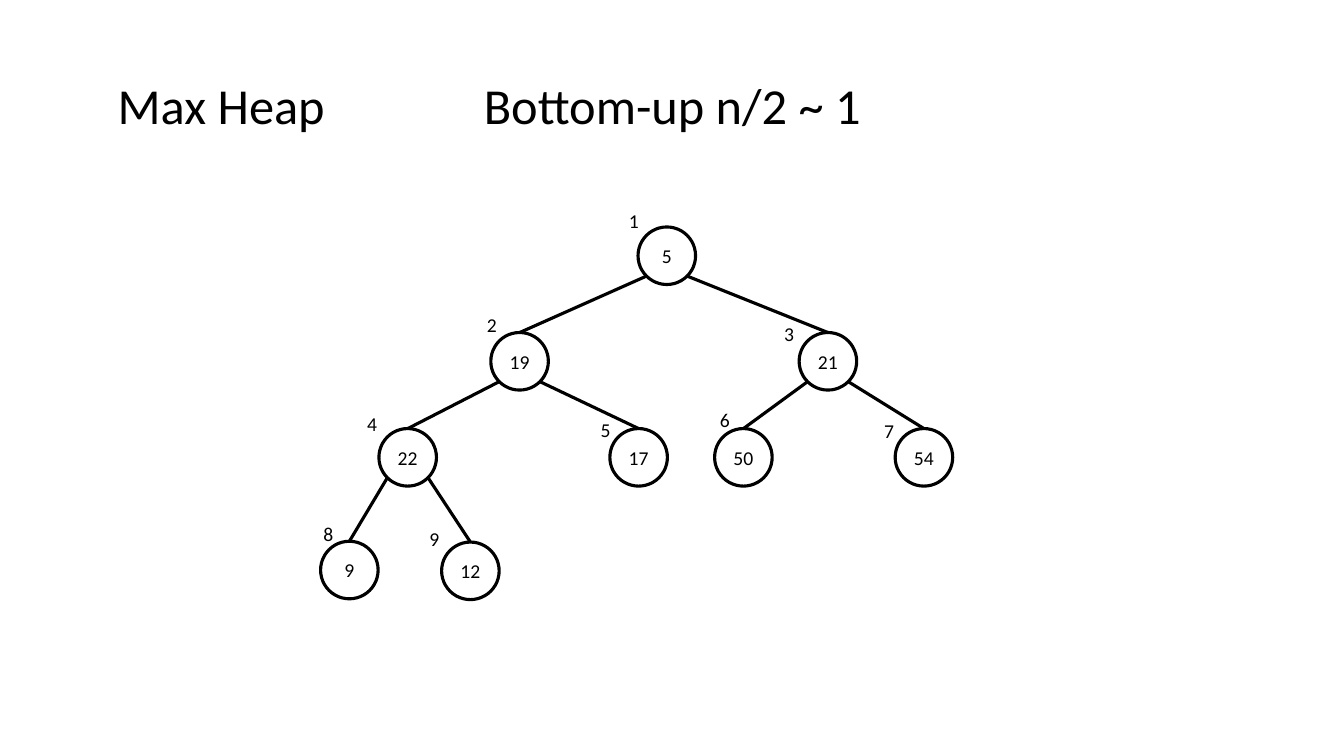
"""Build a slide showing a binary tree for bottom-up max heap construction."""
from math import sqrt

from lxml import etree
from pptx import Presentation
from pptx.dml.color import RGBColor
from pptx.enum.shapes import MSO_CONNECTOR, MSO_SHAPE
from pptx.enum.text import MSO_ANCHOR, PP_ALIGN
from pptx.oxml.ns import qn
from pptx.util import Cm, Pt

BLACK = RGBColor(0x00, 0x00, 0x00)
CENTER = PP_ALIGN.CENTER
MIDDLE = MSO_ANCHOR.MIDDLE
TOP = MSO_ANCHOR.TOP
OVAL = MSO_SHAPE.OVAL
STRAIGHT = MSO_CONNECTOR.STRAIGHT

FONT = "Calibri"
TITLE_SIZE = 36
NODE_SIZE = 14
LINE_WIDTH = Pt(2.25)
DIAMETER = 1.45
CORNER = DIAMETER / 2 * (1 - 1 / sqrt(2))

NODES = [
    ("5", 16.08, 5.72, 15.24, 5.13),
    ("19", 12.37, 8.38, 11.66, 7.75),
    ("21", 20.14, 8.38, 19.15, 7.98),
    ("22", 9.55, 10.8, 8.64, 10.26),
    ("17", 15.37, 10.8, 14.53, 10.41),
    ("50", 18.01, 10.8, 17.53, 10.16),
    ("54", 22.56, 10.8, 21.67, 10.44),
    ("9", 8.08, 13.64, 7.54, 13.03),
    ("12", 11.13, 13.66, 10.21, 13.16),
]


def write_text(shape, text, size, anchor):
    frame = shape.text_frame
    frame.word_wrap = True
    frame.vertical_anchor = anchor
    paragraph = frame.paragraphs[0]
    paragraph.alignment = CENTER
    run = paragraph.add_run()
    run.text = text
    run.font.name = FONT
    run.font.size = Pt(size)
    run.font.color.rgb = BLACK


presentation = Presentation()
presentation.slide_width = Cm(33.87)
presentation.slide_height = Cm(19.05)
slide = presentation.slides.add_slide(presentation.slide_layouts[5])
shapes = slide.shapes

title = shapes.title
title.left, title.top, title.width, title.height = Cm(1.27), Cm(1.75), Cm(8.61), Cm(1.8)
write_text(title, "Max Heap", TITLE_SIZE, TOP)

heading = shapes.add_textbox(Cm(8.92), Cm(1.75), Cm(16.05), Cm(1.8))
write_text(heading, "Bottom-up n/2 ~ 1", TITLE_SIZE, TOP)

circles = []
for index, (value, left, top, label_left, label_top) in enumerate(NODES, start=1):
    circle = shapes.add_shape(OVAL, Cm(left), Cm(top), Cm(DIAMETER), Cm(DIAMETER))
    circle.shadow.inherit = False
    circle.fill.background()
    circle.line.color.rgb = BLACK
    circle.line.width = LINE_WIDTH
    frame = circle.text_frame
    frame.margin_left = frame.margin_right = frame.margin_top = frame.margin_bottom = 0
    write_text(circle, value, NODE_SIZE, MIDDLE)
    circles.append(circle)

    label = shapes.add_textbox(Cm(label_left), Cm(label_top), Cm(1.47), Cm(0.86))
    write_text(label, str(index), NODE_SIZE, TOP)

for child_index in range(1, len(circles)):
    parent = circles[(child_index - 1) // 2]
    child = circles[child_index]
    is_left_child = child_index % 2 == 1
    offset = CORNER if is_left_child else DIAMETER - CORNER
    edge = shapes.add_connector(
        STRAIGHT,
        parent.left + Cm(offset),
        parent.top + Cm(DIAMETER - CORNER),
        child.left + child.width // 2,
        child.top,
    )
    edge.end_connect(child, 0)
    edge.line.color.rgb = BLACK
    edge.line.width = LINE_WIDTH
    etree.SubElement(edge._element.spPr, qn("a:effectLst"))

presentation.save("out.pptx")
